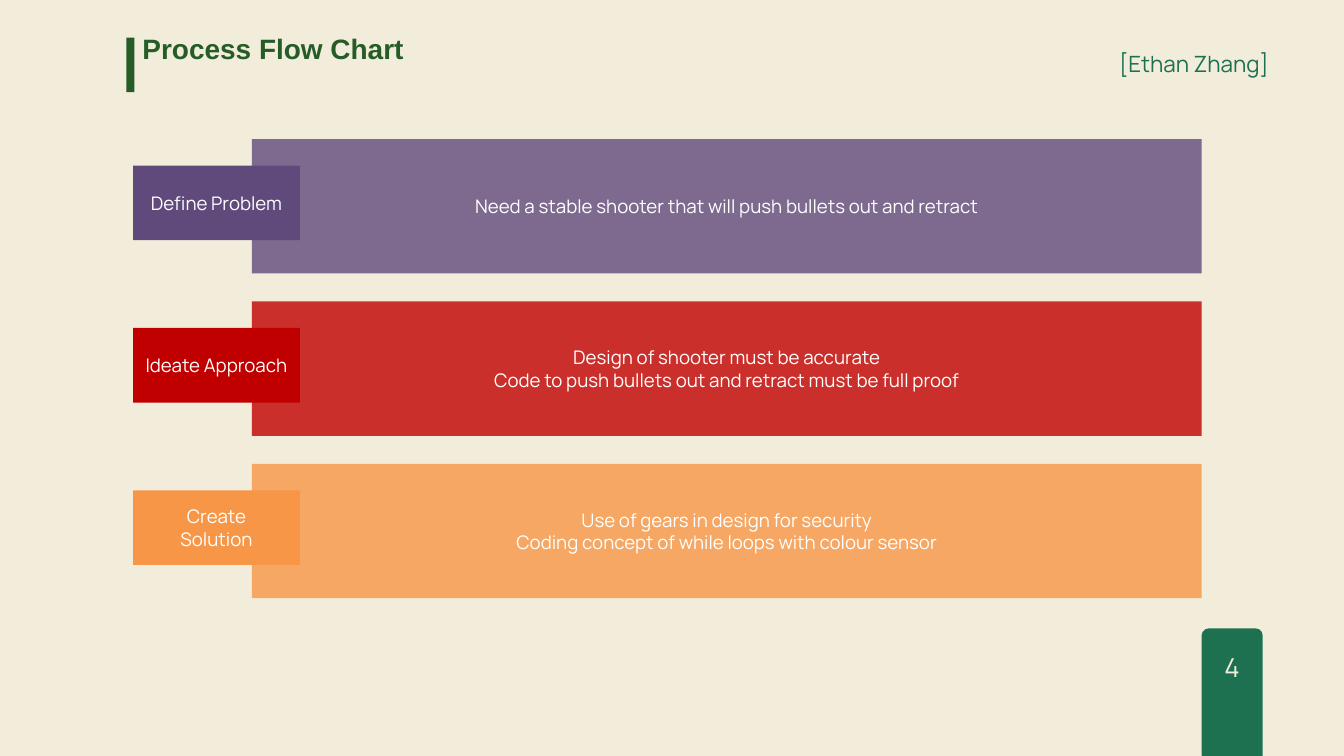
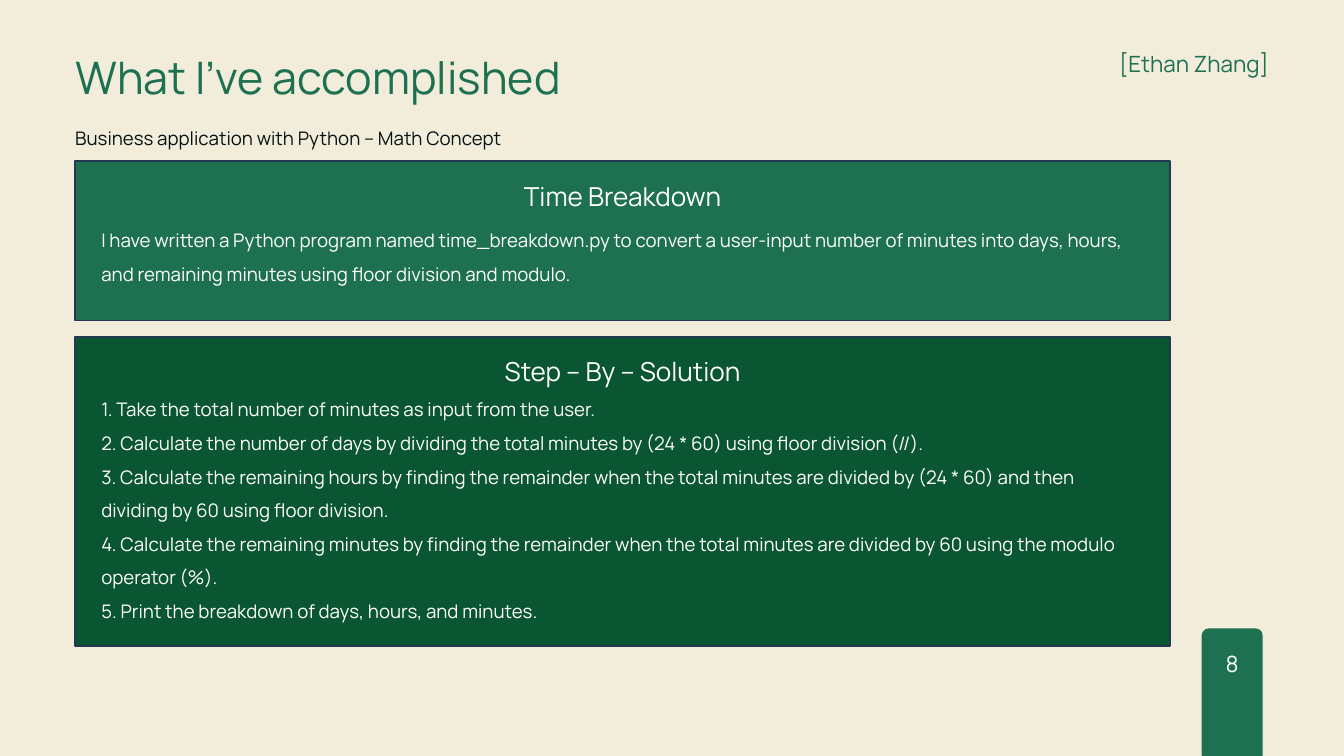
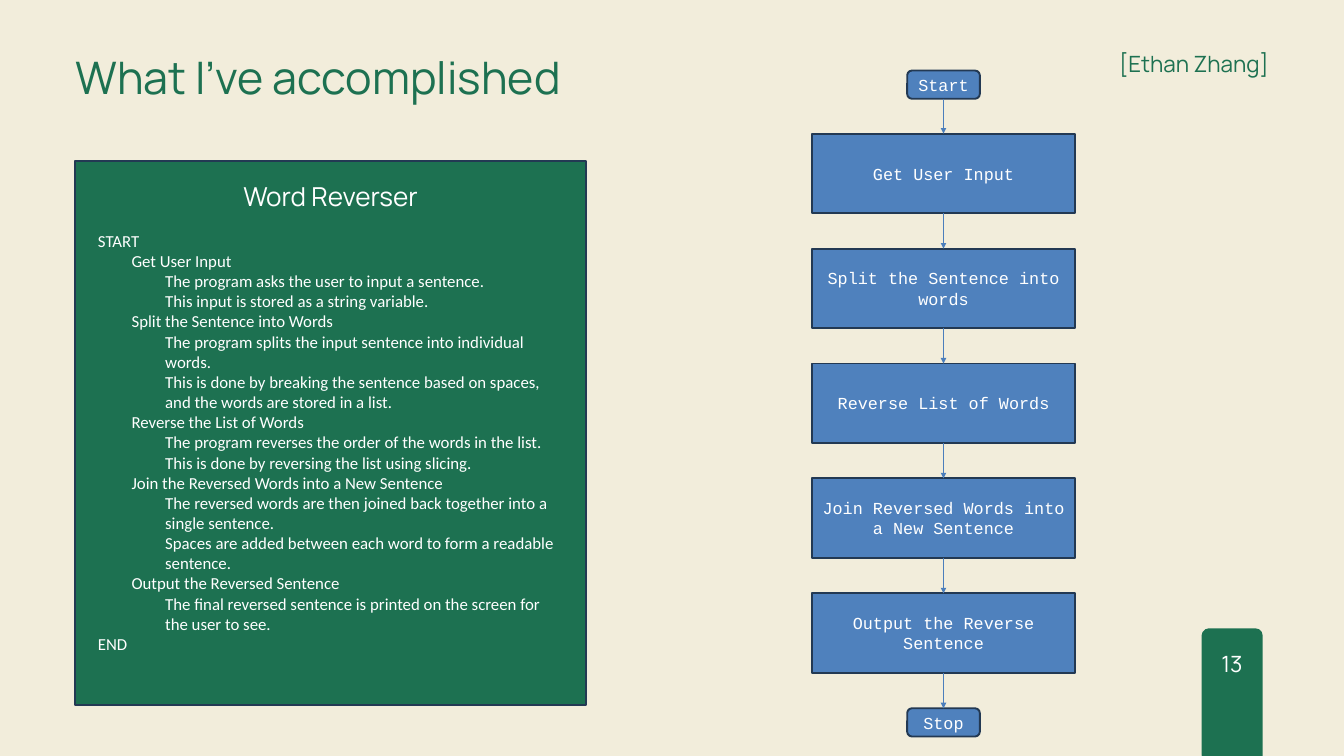
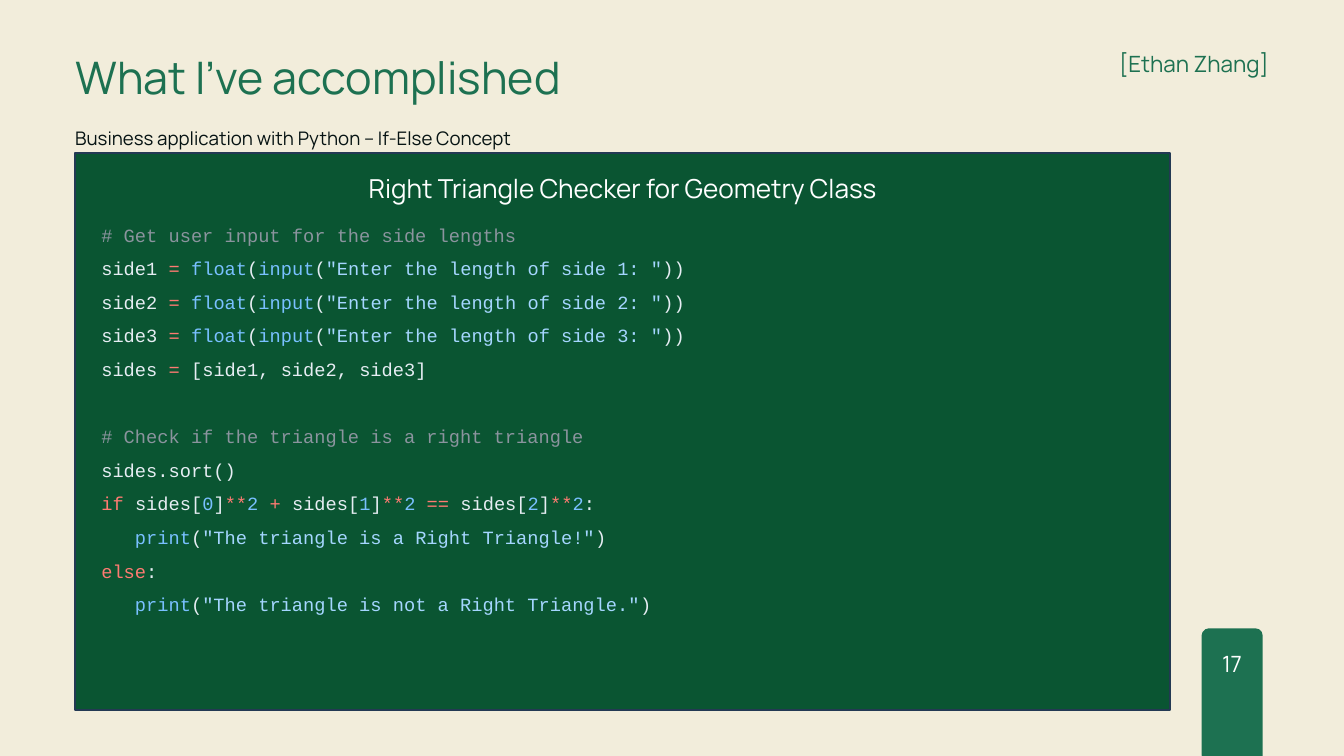
from itertools import pairwise

from lxml.etree import SubElement
from pptx import Presentation
from pptx.dml.color import RGBColor
from pptx.enum.shapes import MSO_CONNECTOR, MSO_SHAPE
from pptx.enum.text import MSO_ANCHOR, PP_ALIGN
from pptx.oxml.ns import qn
from pptx.util import Pt

HUES = {
    "page": "F2EDDB", "green": "1D7151", "deep": "0A5532", "moss": "265C26",
    "edge": "233953", "ink": "061313", "white": "FFFFFF",
    "plum": "604A7B", "red": "C00000", "amber": "F79646",
    "blue": "4F81BD", "wire": "4B7EBC",
    "note": "8B949E", "code": "E6EDF3", "op": "FF7B72",
    "call": "79C0FF", "str": "A5D6FF",
}
ALIGN = {"l": PP_ALIGN.LEFT, "c": PP_ALIGN.CENTER, "r": PP_ALIGN.RIGHT}
INDENT = 36
LEFT, WIDE = 80.6, 1172.9
DONE = "What I’ve accomplished"


def rgb(hue):
    return RGBColor.from_string(HUES[hue])


def write(frame, paras, size=20, font="Manrope", hue="white", bold=False,
          align="l", lead=None, inset=(7.2, 3.6), mid=False):
    """Fill a frame; each paragraph is (level, space before, runs) or a string,
    and each run is (text, hue)."""
    frame.word_wrap = True
    frame.vertical_anchor = MSO_ANCHOR.MIDDLE if mid else MSO_ANCHOR.TOP
    frame.margin_left = frame.margin_right = Pt(inset[0])
    frame.margin_top = frame.margin_bottom = Pt(inset[1])
    for i, item in enumerate([paras] if isinstance(paras, str) else paras):
        if isinstance(item, str):
            item = (0, 0, [(item, hue)])
        level, gap, runs = item
        para = frame.add_paragraph() if i else frame.paragraphs[0]
        para.alignment = ALIGN[align]
        para.space_before = Pt(gap)
        if level:
            para.level = level
            props = para._p.get_or_add_pPr()
            props.set("marL", str(Pt(INDENT * level)))
            props.set("indent", "0")
        if lead:
            para.line_spacing = lead
        for text, tint in runs:
            run = para.add_run()
            run.text = text
            run.font.size = Pt(size)
            run.font.name = font
            run.font.bold = bold
            run.font.color.rgb = rgb(tint or hue)


class Deck:
    def __init__(self):
        self.file = Presentation()
        self.file.slide_width, self.file.slide_height = Pt(1440), Pt(810)
        self.slide = None

    def start(self, title, number, box=(LEFT, 54.7, WIDE, 56.9), num=24, **style):
        """Add a slide with its title, name and number tab."""
        self.slide = self.file.slides.add_slide(self.file.slide_layouts[5])
        fill = self.slide.background.fill
        fill.solid()
        fill.fore_color.rgb = rgb("page")
        head = self.slide.shapes.title
        head.left, head.top, head.width, head.height = map(Pt, box)
        look = dict(size=48, hue="green", lead=Pt(56), inset=(0, 0))
        write(head.text_frame, title, **(style or look))
        self.label("[Ethan Zhang]", (1079.3, 49, 280.1, 33.1), size=24,
                   hue="green", align="r", lead=Pt(33.6))
        tab = self.shape((1287.4, 673.2, 65.5, 143.6), "green",
                         MSO_SHAPE.ROUNDED_RECTANGLE)
        tab.adjustments[0] = 0.12
        self.label(str(number), (1296, 692, 48, 36), size=num, align="c",
                   hue="page" if num > 24 else "white", lead=Pt(num * 1.4))

    def label(self, paras, box, **style):
        area = self.slide.shapes.add_textbox(*map(Pt, box))
        write(area.text_frame, paras, **{"inset": (0, 0), **style})

    def shape(self, box, hue, kind=MSO_SHAPE.RECTANGLE, edge=False, alpha=None):
        item = self.slide.shapes.add_shape(kind, *map(Pt, box))
        item.shadow.inherit = False
        item.fill.solid()
        item.fill.fore_color.rgb = rgb(hue)
        if alpha:
            tint = item._element.spPr.find(".//" + qn("a:srgbClr"))
            SubElement(tint, qn("a:alpha"), val=str(alpha * 1000))
        if edge:
            item.line.color.rgb = rgb("edge")
            item.line.width = Pt(2)
        else:
            item.line.fill.background()
        return item

    def block(self, text, box, hue, alpha=None, edge=False,
              kind=MSO_SHAPE.RECTANGLE, **style):
        """Add a shape with centred text."""
        item = self.shape(box, hue, kind, edge, alpha)
        write(item.text_frame, text, align="c", mid=True, **style)
        return item

    def panel(self, head, box, hue, paras, body, **style):
        """Add a framed card with a heading and body text."""
        card = self.shape(box, hue, edge=True)
        write(card.text_frame, head, size=28, align="c", lead=1.5)
        self.label(paras, body, inset=(7.2, 3.6), **style)

    def arrow(self, above, below):
        line = self.slide.shapes.add_connector(MSO_CONNECTOR.STRAIGHT, 0, 0, 0, 0)
        line.begin_connect(above, 2)
        line.end_connect(below, 0)
        line.line.color.rgb = rgb("wire")
        line.line.width = Pt(0.75)
        SubElement(line.line._get_or_add_ln(), qn("a:tailEnd"), type="triangle")
        SubElement(line._element.spPr, qn("a:effectLst"))

    def topic(self, name):
        self.label(f"Business application with Python – {name} Concept",
                   (LEFT, 120.2, 648, 35.3), hue="ink", lead=Pt(39.2))


def process(deck):
    deck.start("Process Flow Chart", 4, (141.8, 29.5, 972, 44.6), num=28,
               size=30, font="Arial", hue="moss", bold=True, mid=True,
               inset=(10.8, 5))
    deck.shape((135.4, 40.3, 8.6, 58.3), "moss")
    steps = [
        ("Define Problem", "plum",
         ["Need a stable shooter that will push bullets out and retract"]),
        ("Ideate Approach", "red",
         ["Design of shooter must be accurate",
          "Code to push bullets out and retract must be full proof"]),
        (["Create", "Solution"], "amber",
         ["Use of gears in design for security",
          "Coding concept of while loops with colour sensor"]),
    ]
    for i, (name, hue, lines) in enumerate(steps):
        top = 149 + 174 * i
        deck.block(lines, (270, top, 1017.4, 144), hue, alpha=80)
        deck.block(name, (142.6, top + 28.4, 178.6, 80), hue)


def times(deck):
    deck.start(DONE, 8)
    deck.topic("Math")
    deck.panel(
        "Time Breakdown", (LEFT, 172.8, WIDE, 170.6), "green",
        "I have written a Python program named time_breakdown.py to convert a "
        "user-input number of minutes into days, hours, and remaining minutes "
        "using floor division and modulo.",
        (101.5, 229.7, 1128.2, 77), lead=1.5)
    steps = [
        "Take the total number of minutes as input from the user.",
        "Calculate the number of days by dividing the total minutes by "
        "(24 * 60) using floor division (//).",
        "Calculate the remaining hours by finding the remainder when the total "
        "minutes are divided by (24 * 60) and then dividing by 60 using floor "
        "division.",
        "Calculate the remaining minutes by finding the remainder when the "
        "total minutes are divided by 60 using the modulo operator (%).",
        "Print the breakdown of days, hours, and minutes.",
    ]
    deck.panel("Step – By – Solution", (LEFT, 360.7, WIDE, 331.9), "deep",
               [f"{i}. {step}" for i, step in enumerate(steps, 1)],
               (101.5, 411.1, 1128.2, 258.5), lead=1.5)


def words(deck):
    deck.start(DONE, 13)
    plan = {
        "Get User Input": [
            "The program asks the user to input a sentence.",
            "This input is stored as a string variable."],
        "Split the Sentence into Words": [
            "The program splits the input sentence into individual words.",
            "This is done by breaking the sentence based on spaces, and the "
            "words are stored in a list."],
        "Reverse the List of Words": [
            "The program reverses the order of the words in the list.",
            "This is done by reversing the list using slicing."],
        "Join the Reversed Words into a New Sentence": [
            "The reversed words are then joined back together into a single "
            "sentence.",
            "Spaces are added between each word to form a readable sentence."],
        "Output the Reversed Sentence": [
            "The final reversed sentence is printed on the screen for the user "
            "to see."],
    }
    paras = ["START"]
    for step, notes in plan.items():
        paras.append((1, 0, [(step, None)]))
        paras += [(2, 0, [(note, None)]) for note in notes]
    paras.append("END")
    deck.panel("Word Reverser", (LEFT, 172.8, 547.2, 582.5), "green", paras,
               (97.9, 243.4, 514.1, 465.1), size=18, font="Calibri")

    mid = 1010.9
    look = dict(size=18, font="Courier New", edge=True)

    def end(text, top):
        return deck.block(text, (mid - 38.9, top, 77.8, 30.2), "blue",
                          kind=MSO_SHAPE.ROUNDED_RECTANGLE, **look)

    steps = ["Get User Input", "Split the Sentence into words",
             "Reverse List of Words", "Join Reversed Words into a New Sentence",
             "Output the Reverse Sentence"]
    flow = [end("Start", 75.6)]
    for i, step in enumerate(steps):
        box = (mid - 141.1, 143.3 + 123.1 * i, 282.2, 85)
        flow.append(deck.block(step, box, "blue", **look))
    flow.append(end("Stop", 758.9))
    for above, below in pairwise(flow):
        deck.arrow(above, below)


def sides(deck):
    deck.start(DONE, 17)
    deck.topic("If-Else")

    def line(*runs, level=0, gap=0):
        return level, gap, [r if isinstance(r, tuple) else (r, "code")
                            for r in runs]

    def ask(n):
        return line(f"side{n} ", ("= ", "op"), ("float", "call"), "(",
                    ("input", "call"), "(",
                    (f'"Enter the length of side {n}: "', "str"), "))")

    def show(text):
        return line(("print", "call"), "(", (f'"{text}"', "str"), ")", level=1)

    def square(n, tail):
        return "sides[", (n, "call"), "]", ("**", "op"), ("2" + tail, "call")

    code = [
        line(("# Get user input for the side lengths", "note")),
        *map(ask, (1, 2, 3)),
        line("sides ", ("=", "op"), " [side1, side2, side3]"),
        line(("# Check if the triangle is a right triangle", "note"), gap=36),
        line("sides.sort()"),
        line(("if ", "op"), *square("0", " "), ("+ ", "op"), *square("1", " "),
             ("== ", "op"), *square("2", ""), ":"),
        show("The triangle is a Right Triangle!"),
        line(("else", "op"), ":"),
        show("The triangle is not a Right Triangle."),
    ]
    deck.panel("Right Triangle Checker for Geometry Class",
               (LEFT, 164.2, WIDE, 596.9), "deep", code,
               (101.5, 223.9, 1128.2, 439.2), font="Courier New", lead=1.5)


def main():
    deck = Deck()
    for build in (process, times, words, sides):
        build(deck)
    deck.file.save("out.pptx")


if __name__ == "__main__":
    main()
